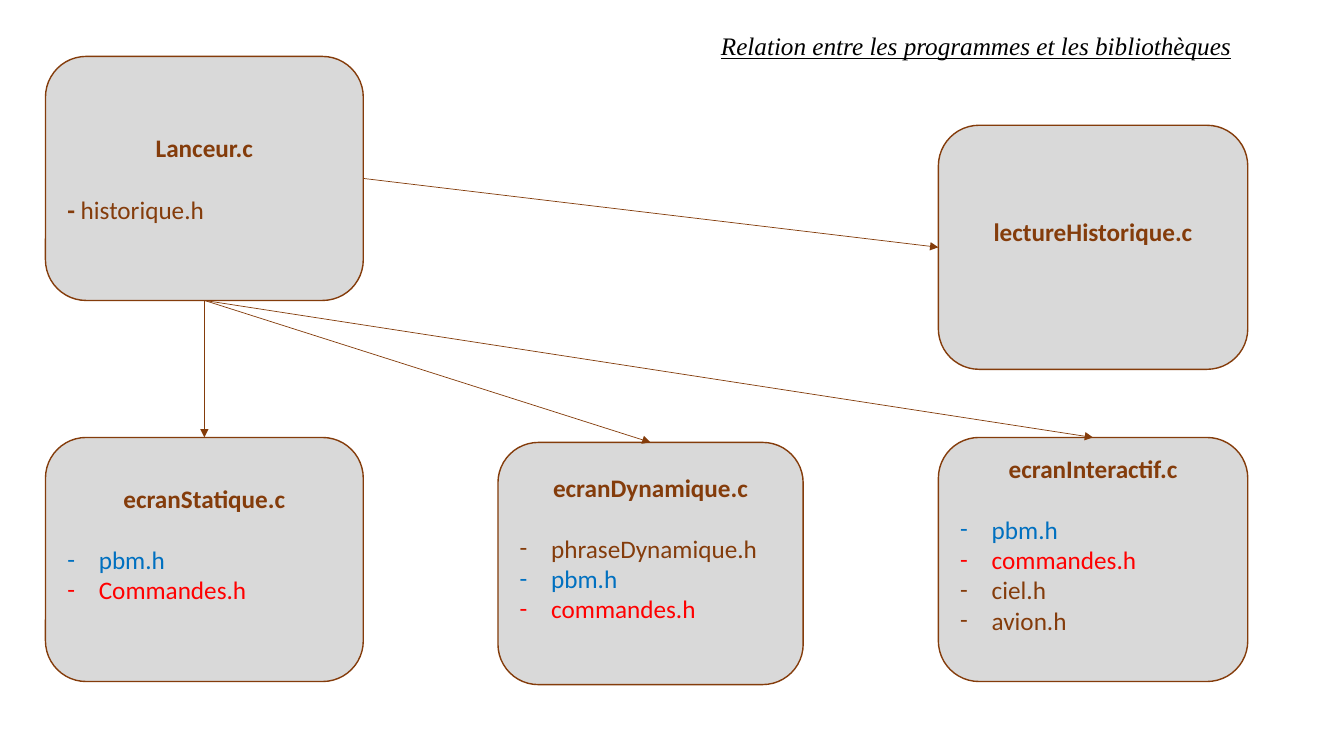
from dataclasses import dataclass

from lxml.etree import SubElement
from pptx import Presentation
from pptx.dml.color import RGBColor
from pptx.enum.shapes import MSO_CONNECTOR as Connector, MSO_SHAPE as Shape
from pptx.enum.text import MSO_ANCHOR as Anchor, MSO_AUTO_SIZE as AutoSize, PP_ALIGN as Align
from pptx.oxml.ns import qn
from pptx.util import Pt


@dataclass(frozen=True)
class Theme:
    """Colours, fonts and sizes of the slide."""
    brown: str = "843C0B"
    blue: str = "0070C0"
    red: str = "FF0000"
    grey: str = "D9D9D9"
    white: str = "FFFFFF"
    black: str = "000000"
    body_font: str = "Calibri"
    title_font: str = "Times New Roman"
    size: float = 18
    line_height: float = 22
    bullet_indent: float = 22.5


theme = Theme()


def paint(shape, fill, line):
    """Give a shape a solid fill and a thin outline."""
    shape.fill.solid()
    shape.fill.fore_color.rgb = RGBColor.from_string(fill)
    shape.line.color.rgb = RGBColor.from_string(line)
    shape.line.width = Pt(1)


def style(span, color, font=theme.body_font, bold=False):
    """Set font, size, colour and weight of a run."""
    span.font.name = font
    span.font.size = Pt(theme.size)
    span.font.color.rgb = RGBColor.from_string(color)
    span.font.bold = bold


deck = Presentation()
deck.slide_width, deck.slide_height = Pt(960), Pt(540)
page = deck.slides.add_slide(deck.slide_layouts[5])

# Programs: name, (left, top, width, height), lines of upward shift, headers
programs = [
    ("Lanceur.c", (32.5, 40.3, 227, 174.3), 0, []),
    ("lectureHistorique.c", (670.3, 89.5, 221, 174.3), 1, []),
    ("ecranInteractif.c", (670.3, 312.5, 221, 174.3), 1,
     [("pbm.h", theme.blue), ("commandes.h", theme.red),
      ("ciel.h", theme.brown), ("avion.h", theme.brown)]),
    ("ecranDynamique.c", (355.7, 316, 218, 173), 1,
     [("phraseDynamique.h", theme.brown), ("pbm.h", theme.blue), ("commandes.h", theme.red)]),
    ("ecranStatique.c", (32.5, 312.5, 227, 174.3), 1,
     [("pbm.h", theme.blue), ("Commandes.h", theme.red)]),
]
boxes = {}
for name, bounds, shift, headers in programs:
    box = page.shapes.add_shape(Shape.ROUNDED_RECTANGLE, *map(Pt, bounds))
    box.shadow.inherit = False
    paint(box, theme.grey, theme.brown)
    boxes[name] = box
    frame = box.text_frame
    frame.word_wrap = True
    frame.vertical_anchor = Anchor.MIDDLE
    frame.margin_top, frame.margin_bottom = 0, Pt(shift * theme.line_height)
    frame.text = name
    heading = frame.paragraphs[0]
    heading.alignment = Align.CENTER
    style(heading.runs[0], theme.brown, bold=True)
    if name != "lectureHistorique.c":
        heading.space_after = Pt(theme.line_height)
    for header, color in headers:
        para = frame.add_paragraph()
        para.text = header
        para.alignment = Align.LEFT
        style(para.runs[0], color)
        properties = para._p.get_or_add_pPr()
        properties.set("marL", str(Pt(theme.bullet_indent)))
        properties.set("indent", str(-Pt(theme.bullet_indent)))
        SubElement(properties, qn("a:buFont"), typeface=theme.body_font)
        SubElement(properties, qn("a:buChar"), char="-")

# The launcher's only header follows a bold typed dash
launcher = boxes["Lanceur.c"]
para = launcher.text_frame.add_paragraph()
para.alignment = Align.LEFT
for text, bold in [("- ", True), ("historique.h", False)]:
    span = para.add_run()
    span.text = text
    style(span, theme.brown, bold=bold)

# Connection sites of a box: 0 top, 1 left, 2 bottom, 3 right
for target, start_site, end_site in [
    ("ecranStatique.c", 2, 0),
    ("ecranDynamique.c", 2, 0),
    ("ecranInteractif.c", 2, 0),
    ("lectureHistorique.c", 3, 1),
]:
    arrow = page.shapes.add_connector(Connector.STRAIGHT, 0, 0, 0, 0)
    arrow.begin_connect(launcher, start_site)
    arrow.end_connect(boxes[target], end_site)
    arrow.line.color.rgb = RGBColor.from_string(theme.brown)
    arrow.line.width = Pt(0.5)
    SubElement(arrow.line._get_or_add_ln(), qn("a:tailEnd"), type="triangle")
    SubElement(arrow._element.spPr, qn("a:effectLst"))

title = page.shapes.title
title.left, title.top, title.width, title.height = map(Pt, (502.5, 13, 389.5, 39))
paint(title, theme.white, theme.white)
frame = title.text_frame
frame.text = "Relation entre les programmes et les bibliothèques"
frame.word_wrap = True
frame.auto_size = AutoSize.NONE
frame.vertical_anchor = Anchor.MIDDLE
frame.paragraphs[0].alignment = Align.CENTER
span = frame.paragraphs[0].runs[0]
style(span, theme.black, theme.title_font)
span.font.italic = span.font.underline = True

deck.save("out.pptx")
